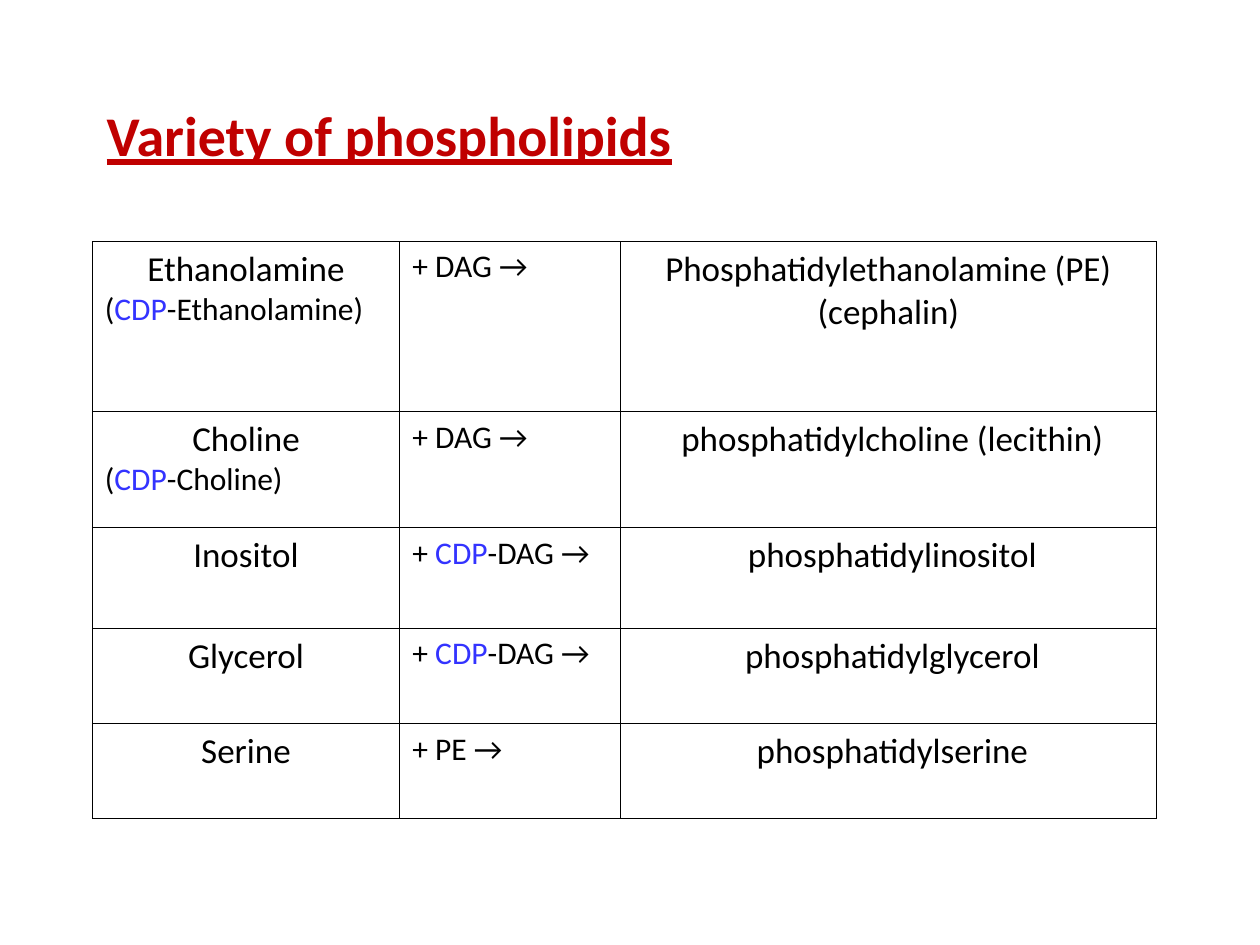
import pptx
import pptx.dml.color
import pptx.enum.text
import pptx.oxml
import pptx.oxml.ns
import pptx.util
from pptx.util import Cm

FONT = "Calibri"
BLACK, RED, BLUE = "000000", "C00000", "3333FF"
HIGHLIGHT = "CDP"
COLUMN_WIDTHS = [6.2, 4.45, 10.8]
ROW_HEIGHTS = [3.43, 2.34, 2.03, 1.92, 1.9]

# Head group (with its activated form), reaction partner, product
PHOSPHOLIPIDS = [
    (["Ethanolamine", "(CDP-Ethanolamine)"], "+ DAG →",
     "Phosphatidylethanolamine (PE)\v(cephalin)"),
    (["Choline", "(CDP-Choline)"], "+ DAG →", " phosphatidylcholine (lecithin)"),
    (["Inositol"], "+ CDP-DAG →", " phosphatidylinositol"),
    (["Glycerol"], "+ CDP-DAG →", " phosphatidylglycerol"),
    (["Serine"], "+ PE →", " phosphatidylserine"),
]


def color(hex_string):
    return pptx.dml.color.RGBColor.from_string(hex_string)


def format_run(run, size, hex_string):
    run.font.name = FONT
    run.font.size = pptx.util.Pt(size)
    run.font.color.rgb = color(hex_string)


def write_paragraph(paragraph, text, size, centered=False):
    """Write text, with the highlighted term in blue."""
    before, term, after = text.partition(HIGHLIGHT)
    paragraph.text = before
    if term:
        paragraph.add_run().text = term
        paragraph.add_run().text = after
    for run in paragraph.runs:
        format_run(run, size, BLUE if run.text == HIGHLIGHT else BLACK)
    alignment = pptx.enum.text.PP_ALIGN
    paragraph.alignment = alignment.CENTER if centered else alignment.LEFT


def style_cell(cell):
    """Draw thin black borders on all sides and leave the cell unfilled."""
    properties = cell._tc.get_or_add_tcPr()
    for side in ("lnL", "lnR", "lnT", "lnB"):
        properties.append(pptx.oxml.parse_xml(
            f'<a:{side} {pptx.oxml.ns.nsdecls("a")} w="5715"><a:solidFill>'
            f'<a:srgbClr val="{BLACK}"/></a:solidFill></a:{side}>'))
    cell.fill.background()


def add_title(slide, text):
    shape = slide.shapes.add_textbox(Cm(1.9), Cm(1.9), Cm(17.78), Cm(1.62))
    text_frame = shape.text_frame
    text_frame.word_wrap = True
    text_frame.auto_size = pptx.enum.text.MSO_AUTO_SIZE.SHAPE_TO_FIT_TEXT
    text_frame.text = text
    run = text_frame.paragraphs[0].runs[0]
    format_run(run, 32, RED)
    run.font.bold = True
    run.font.underline = True


def add_phospholipid_table(slide):
    table = slide.shapes.add_table(
        len(ROW_HEIGHTS), len(COLUMN_WIDTHS), Cm(1.86), Cm(4.87),
        Cm(sum(COLUMN_WIDTHS)), Cm(sum(ROW_HEIGHTS))).table
    table.first_row = False
    table.horz_banding = False
    for column, width in zip(table.columns, COLUMN_WIDTHS):
        column.width = Cm(width)
    for row, height in zip(table.rows, ROW_HEIGHTS):
        row.height = Cm(height)

    for row, (head_group, partner, product) in zip(table.rows, PHOSPHOLIPIDS):
        for cell in row.cells:
            style_cell(cell)
        head_frame, partner_frame, product_frame = (
            cell.text_frame for cell in row.cells)
        write_paragraph(head_frame.paragraphs[0], head_group[0], 20, True)
        for activated_form in head_group[1:]:
            write_paragraph(head_frame.add_paragraph(), activated_form, 18)
        write_paragraph(partner_frame.paragraphs[0], partner, 18)
        write_paragraph(product_frame.paragraphs[0], product, 20, True)


def main():
    presentation = pptx.Presentation()
    presentation.slide_width = Cm(25.4)
    presentation.slide_height = Cm(19.05)
    slide = presentation.slides.add_slide(presentation.slide_layouts[6])
    add_phospholipid_table(slide)
    add_title(slide, "Variety of phospholipids")
    presentation.save("out.pptx")


if __name__ == "__main__":
    main()
